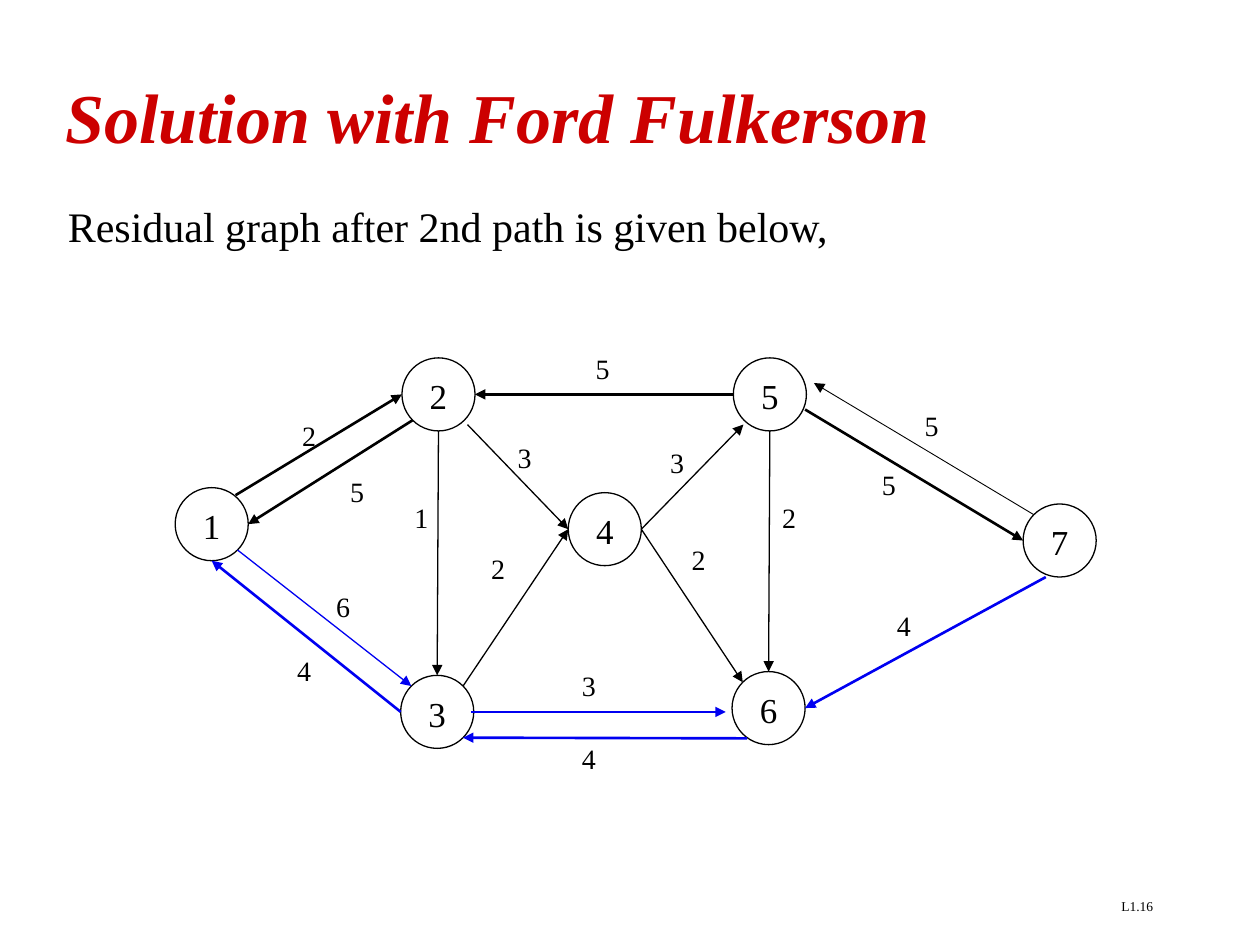
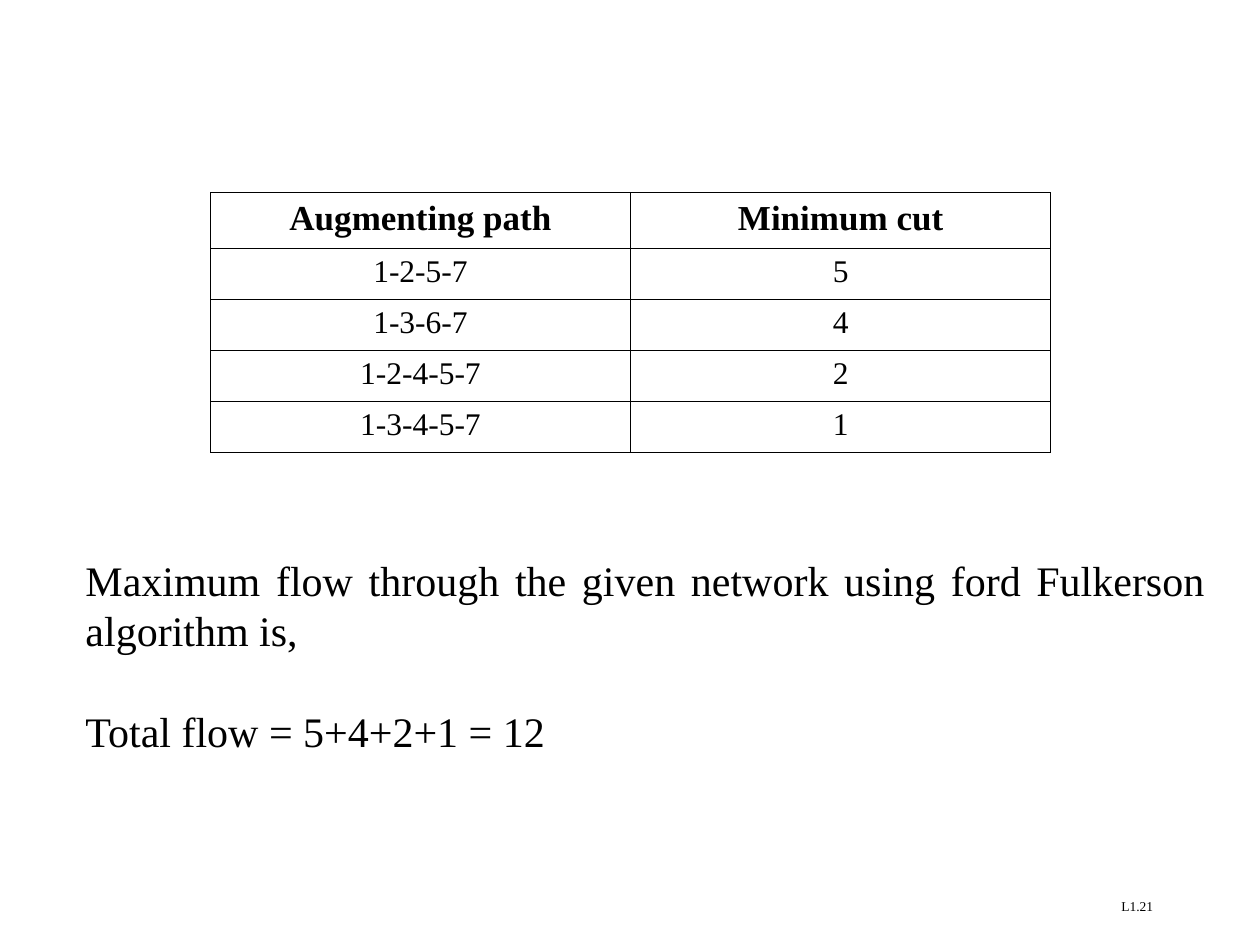
from math import sqrt
from lxml.etree import SubElement
from pptx import Presentation
from pptx.dml.color import RGBColor as Rgb
from pptx.enum.shapes import MSO_CONNECTOR as Link, MSO_SHAPE as Kind
from pptx.enum.text import MSO_ANCHOR as Anchor, PP_ALIGN as Align
from pptx.oxml.ns import qn
from pptx.util import Inches, Pt

FONT = "Times New Roman"
HUES = {"ink": "000000", "red": "CC0000", "blue": "0000F1"}

TITLE = "Solution with Ford Fulkerson"
LEAD = "Residual graph after 2nd path is given below,"
SUMS = [
    "Maximum flow through the given network using ford Fulkerson algorithm is,",
    "Total flow = 5+4+2+1 = 12",
]
ROWS = [
    ("Augmenting path", "Minimum cut"),
    ("1-2-5-7", "5"),
    ("1-3-6-7", "4"),
    ("1-2-4-5-7", "2"),
    ("1-3-4-5-7", "1"),
]

RAD = 0.29
NODES = {
    "1": (1.68, 4.16),
    "2": (3.48, 3.13),
    "3": (3.47, 5.65),
    "4": (4.8, 4.2),
    "5": (6.11, 3.13),
    "6": (6.1, 5.62),
    "7": (8.41, 4.29),
}
DIRS = {"N": (0, -1), "S": (0, 1), "W": (-1, 0), "E": (1, 0),
        "NW": (-1, -1), "NE": (1, -1), "SW": (-1, 1), "SE": (1, 1)}

EDGES = [
    ((1.87, 3.93), "2W", "ink", 1.5, "2", (2.3, 3.27)),
    ("2SW", "1E", "ink", 1.5, "5", (2.68, 3.72)),
    ("1SE", "3NW", "blue", 0.75, "6", (2.57, 4.63)),
    ("3W", "1S", "blue", 1.5, "4", (2.26, 5.14)),
    ("2S", "3N", "ink", 0.75, "1", (3.19, 3.92)),
    ((3.71, 3.37), "4W", "ink", 0.75, "3", (4.01, 3.45)),
    ("3NE", "4W", "ink", 0.75, "2", (3.8, 4.33)),
    ("4E", (5.9, 3.37), "ink", 0.75, "3", (5.22, 3.49)),
    ("4E", "6NW", "ink", 0.75, "2", (5.39, 4.26)),
    ("5S", "6N", "ink", 0.75, "2", (6.11, 3.92)),
    ("5W", "2E", "ink", 1.5, "5", (4.63, 2.74)),
    ((3.74, 5.65), (5.76, 5.65), "blue", 0.75, "3", (4.52, 5.26)),
    ((5.93, 5.86), "3SE", "blue", 1.5, "4", (4.52, 5.84)),
    ((6.39, 3.25), "7W", "ink", 1.5, "5", (6.9, 3.66)),
    ("7NW", (6.46, 3.04), "ink", 0.5, "5", (7.24, 3.19)),
    ((8.3, 4.58), "6E", "blue", 1.5, "4", (7.02, 4.78)),
]


def tone(name):
    return Rgb.from_string(HUES[name])


def write(frame, lines, size, align=Align.LEFT, hue="ink", bold=False, slant=False, gap=0):
    for i, line in enumerate(lines):
        para = frame.add_paragraph() if i else frame.paragraphs[0]
        para.text = line
        para.alignment = align
        if i:
            para.space_before = Pt(gap)
        font = para.font
        font.name, font.size = FONT, Pt(size)
        font.bold, font.italic = bold, slant
        font.color.rgb = tone(hue)


def label(slide, box, lines, size, anchor=Anchor.TOP, **look):
    frame = slide.shapes.add_textbox(*map(Inches, box)).text_frame
    frame.word_wrap = True
    frame.vertical_anchor = anchor
    write(frame, lines, size, **look)


def start(deck, mark):
    slide = deck.slides.add_slide(deck.slide_layouts[6])
    label(slide, (7.17, 7.08, 2.08, 0.25), [mark], 7.7, align=Align.RIGHT)
    return slide


def spot(end):
    if not isinstance(end, str):
        return end
    x, y = NODES[end[0]]
    dx, dy = DIRS[end[1:]]
    reach = RAD / sqrt(dx * dx + dy * dy)
    return x + dx * reach, y + dy * reach


def arrow(slide, tail, head, hue, width):
    ends = map(Inches, (*spot(tail), *spot(head)))
    link = slide.shapes.add_connector(Link.STRAIGHT, *ends)
    link.line.color.rgb = tone(hue)
    link.line.width = Pt(width)
    SubElement(link.line._get_or_add_ln(), qn("a:tailEnd"), type="triangle")
    SubElement(link._element.spPr, qn("a:effectLst"))


def node(slide, name):
    x, y = NODES[name]
    box = (x - RAD, y - RAD, 2 * RAD, 2 * RAD)
    disc = slide.shapes.add_shape(Kind.OVAL, *map(Inches, box))
    disc.shadow.inherit = False
    disc.fill.background()
    disc.line.color.rgb = tone("ink")
    disc.line.width = Pt(0.75)
    disc.text_frame.vertical_anchor = Anchor.TOP
    disc.text_frame.word_wrap = True
    write(disc.text_frame, [name], 20, align=Align.CENTER)


def border(cell):
    props = cell._tc.get_or_add_tcPr()
    for i, side in enumerate(("lnL", "lnR", "lnT", "lnB")):
        line = props.makeelement(qn("a:" + side), {"w": str(Pt(0.45))})
        fill = SubElement(line, qn("a:solidFill"))
        SubElement(fill, qn("a:srgbClr"), val=HUES["ink"])
        props.insert(i, line)


def grid(slide, rows, box, top):
    left, y, width, height = map(Inches, box)
    table = slide.shapes.add_table(len(rows), len(rows[0]), left, y, width, height).table
    table.first_row = table.horz_banding = False
    rest = (box[3] - top) / (len(rows) - 1)
    for r, row in enumerate(rows):
        table.rows[r].height = Inches(rest if r else top)
        for c, text in enumerate(row):
            cell = table.cell(r, c)
            cell.fill.background()
            border(cell)
            write(cell.text_frame, [text], 18 if r else 20, align=Align.CENTER, bold=r == 0)


def main():
    deck = Presentation()
    deck.slide_width, deck.slide_height = Inches(10), Inches(7.5)

    graph = start(deck, "L1.16")
    label(graph, (0.42, 0.42, 9.33, 1), [TITLE], 40, anchor=Anchor.MIDDLE,
          hue="red", bold=True, slant=True)
    label(graph, (0.44, 1.54, 9.08, 0.5), [LEAD], 24, align=Align.JUSTIFY)
    for name in NODES:
        node(graph, name)
    for tail, head, hue, width, cost, place in EDGES:
        arrow(graph, tail, head, hue, width)
        label(graph, (*place, 0.34, 0.37), [cost], 16)

    total = start(deck, "L1.21")
    grid(total, ROWS, (1.67, 1.53, 6.67, 2.06), 0.44)
    label(total, (0.58, 4.35, 9.08, 1.7), SUMS, 24, align=Align.JUSTIFY, gap=29)

    deck.save("out.pptx")


if __name__ == "__main__":
    main()
